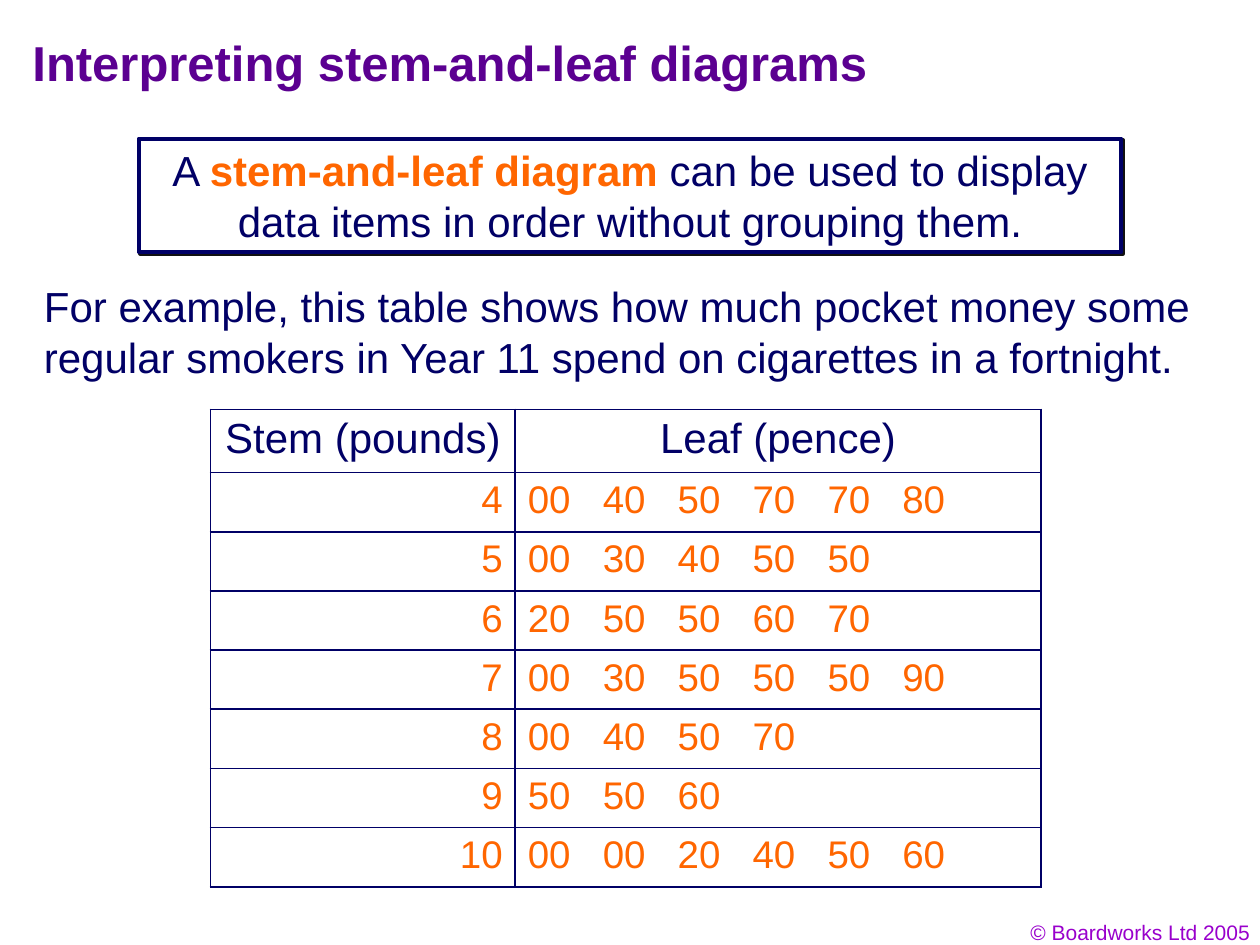
from lxml import etree
from pptx import Presentation
from pptx.dml.color import RGBColor
from pptx.enum.shapes import MSO_SHAPE
from pptx.enum.text import MSO_ANCHOR, PP_ALIGN
from pptx.oxml import parse_xml
from pptx.oxml.ns import qn
from pptx.util import Inches, Pt

LEFT, MID, RIGHT = PP_ALIGN.LEFT, PP_ALIGN.CENTER, PP_ALIGN.RIGHT
TOP, CENTRE = MSO_ANCHOR.TOP, MSO_ANCHOR.MIDDLE
RECT = MSO_SHAPE.RECTANGLE
NAVY = RGBColor(0x01, 0x00, 0x66)
RULE = RGBColor(0x00, 0x00, 0x66)
ORANGE = RGBColor(0xFF, 0x66, 0x00)
PURPLE = RGBColor(0x5B, 0x00, 0x91)
VIOLET = RGBColor(0x99, 0x00, 0xCC)
WHITE = RGBColor(0xFF, 0xFF, 0xFF)
NS = "http://schemas.openxmlformats.org/drawingml/2006/main"

deck = Presentation()
deck.slide_width, deck.slide_height = Inches(10), Inches(7.5)
slide = deck.slides.add_slide(deck.slide_layouts[6])


def style(para, size, color, align=LEFT, bold=False):
    para.alignment = align
    font = para.font
    font.name, font.size, font.bold = "Arial", Pt(size), bold
    font.color.rgb = color


def label(place, text, size, color, align=LEFT, bold=False, anchor=TOP):
    box = slide.shapes.add_textbox(*[Inches(n) for n in place])
    frame = box.text_frame
    frame.word_wrap, frame.vertical_anchor = True, anchor
    frame.text = text
    style(frame.paragraphs[0], size, color, align, bold)


label((7.69, 7.25, 2.33, 0.3), "© Boardworks Ltd 2005", 12, VIOLET, RIGHT)

rows = [
    ("Stem (pounds)", "Leaf (pence)"),
    ("4", "00 40 50 70 70 80"),
    ("5", "00 30 40 50 50"),
    ("6", "20 50 50 60 70"),
    ("7", "00 30 50 50 50 90"),
    ("8", "00 40 50 70"),
    ("9", "50 50 60"),
    ("10", "00 00 20 40 50 60"),
]
table = slide.shapes.add_table(
    len(rows), 2, Inches(1.67), Inches(3.25), Inches(6.59), Inches(3.79)
).table
table.first_row = table.horz_banding = False
table.columns[0].width, table.columns[1].width = Inches(2.42), Inches(4.17)
for r, row in enumerate(rows):
    table.rows[r].height = Inches(0.47 if r else 0.5)
    for c, text in enumerate(row):
        cell = table.cell(r, c)
        props = cell._tc.get_or_add_tcPr()
        for side in ("lnL", "lnR", "lnT", "lnB"):
            props.append(parse_xml(
                f'<a:{side} xmlns:a="{NS}" w="{Pt(1.08)}"><a:solidFill>'
                f'<a:srgbClr val="{RULE}"/></a:solidFill></a:{side}>'))
        cell.fill.background()
        para = cell.text_frame.paragraphs[0]
        if r == 0:
            para.text = text
            style(para, 24, NAVY, MID)
        else:
            para.text = text.replace(" ", "\t")
            if c:
                tabs = etree.SubElement(para._p.get_or_add_pPr(), qn("a:tabLst"))
                for n in range(1, 6):
                    etree.SubElement(tabs, qn("a:tab"), pos=str(Pt(42.8 * n)), algn="l")
            style(para, 22, ORANGE, LEFT if c else RIGHT)

label((0.16, 0.16, 8.5, 0.67), "Interpreting stem-and-leaf diagrams",
      28, PURPLE, bold=True, anchor=CENTRE)

note = slide.shapes.add_shape(RECT, Inches(1.1), Inches(1.1), Inches(7.8), Inches(0.9))
note.fill.solid()
note.fill.fore_color.rgb = WHITE
note.line.color.rgb, note.line.width = RULE, Pt(2.25)
note.shadow.inherit = False
cast = note._element.spPr.find(qn("a:effectLst"))
cast.append(parse_xml(
    f'<a:outerShdw xmlns:a="{NS}" blurRad="0" dist="{Pt(1.4)}" dir="2700000" '
    'algn="ctr" rotWithShape="0"><a:srgbClr val="111111"/></a:outerShdw>'))
frame = note.text_frame
frame.word_wrap, frame.vertical_anchor = True, TOP
para = frame.paragraphs[0]
style(para, 24, NAVY, MID)
for text, color, bold in (
    ("A ", NAVY, False),
    ("stem-and-leaf diagram ", ORANGE, True),
    ("can be used to display data items in order without grouping them.", NAVY, False),
):
    run = para.add_run()
    run.text = text
    run.font.bold, run.font.color.rgb = bold, color

label((0.25, 2.18, 9.75, 0.9),
      "For example, this table shows how much pocket money some regular smokers "
      "in Year 11 spend on cigarettes in a fortnight.", 24, NAVY)

deck.save("out.pptx")
